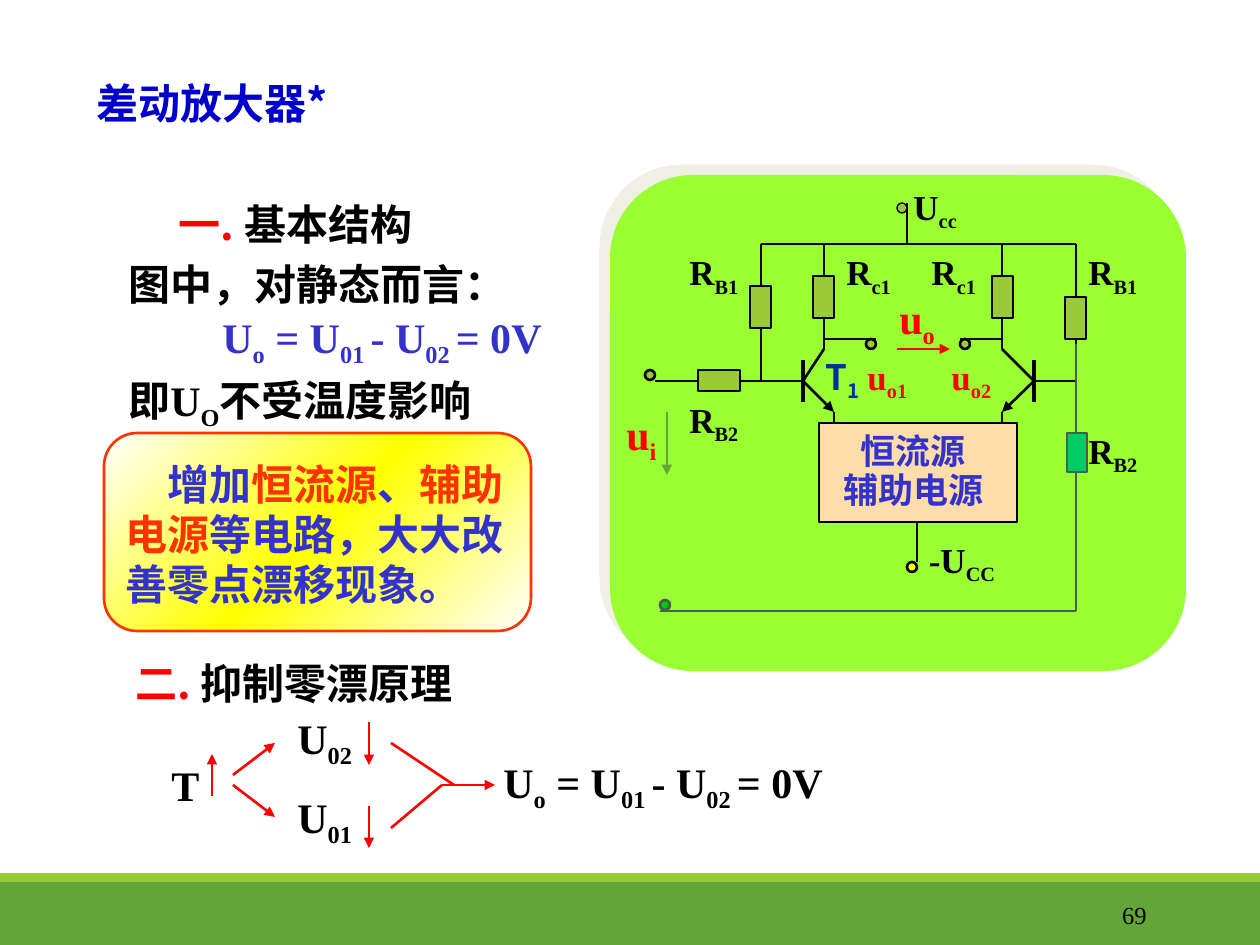
from lxml.etree import SubElement
from pptx import Presentation
from pptx.dml.color import RGBColor
from pptx.enum.shapes import MSO_CONNECTOR, MSO_SHAPE
from pptx.enum.text import MSO_ANCHOR, MSO_AUTO_SIZE, PP_ALIGN
from pptx.oxml import parse_xml
from pptx.oxml.ns import nsdecls, qn
from pptx.util import Pt

SCALE = 914400 / 126
SERIF, SANS = "Times New Roman", "Noto Sans CJK SC"
BLACK, RED, BLUE, ORANGE = "000000", "FF0000", "3333CC", "FF3300"
GREEN, LIME, SLATE = "63A537", "99CB38", "455F51"
RECT, ROUND, OVAL = MSO_SHAPE.RECTANGLE, MSO_SHAPE.ROUNDED_RECTANGLE, MSO_SHAPE.OVAL
LEFT, MID, RIGHT = PP_ALIGN.LEFT, PP_ALIGN.CENTER, PP_ALIGN.RIGHT


def px(n):
    return round(n * SCALE)


def rgb(code):
    return RGBColor.from_string(code)


class Page:
    def __init__(self, deck):
        self.slide = deck.slides.add_slide(deck.slide_layouts[6])
        self.items = self.slide.shapes

    def shape(self, kind, x, y, w, h, fill, line=None, width=1.5):
        item = self.items.add_shape(kind, px(x), px(y), px(w), px(h))
        item.shadow.inherit = False
        item.fill.solid()
        item.fill.fore_color.rgb = rgb(fill)
        if line:
            item.line.color.rgb = rgb(line)
            item.line.width = Pt(width)
        else:
            item.line.fill.background()
        return item

    def line(self, x1, y1, x2, y2, color=BLACK, arrow=False, width=1.5):
        item = self.items.add_connector(
            MSO_CONNECTOR.STRAIGHT, px(x1), px(y1), px(x2), px(y2))
        item.line.color.rgb = rgb(color)
        item.line.width = Pt(width)
        if arrow:
            SubElement(item.line._get_or_add_ln(), qn("a:tailEnd"), type="triangle")
        SubElement(item._element.spPr, qn("a:effectLst"))

    def text(self, x, y, w, h, runs, size=24, font=SERIF, align=LEFT, bold=True,
             wrap=True, middle=False, inset=True, indent=0):
        """Runs are (text, color) pairs; text between bars is subscript."""
        frame = self.items.add_textbox(px(x), px(y), px(w), px(h)).text_frame
        frame.word_wrap = wrap
        if not wrap:
            frame.auto_size = MSO_AUTO_SIZE.SHAPE_TO_FIT_TEXT
        if middle:
            frame.vertical_anchor = MSO_ANCHOR.MIDDLE
        if not inset:
            frame.margin_left = frame.margin_right = 0
            frame.margin_top = frame.margin_bottom = 0
        para = frame.paragraphs[0]
        para.alignment = align
        if indent:
            para._p.get_or_add_pPr().set("indent", str(px(indent)))
        for words, color in runs:
            for n, part in enumerate(words.split("|")):
                if part:
                    self.run(para, part, color, size, font, bold, n % 2)

    def run(self, para, words, color, size, font, bold, sub):
        run = para.add_run()
        run.text = words
        run.font.size = Pt(size)
        run.font.bold = bold
        run.font.name = font
        run.font.color.rgb = rgb(color)
        props = run._r.get_or_add_rPr()
        SubElement(props, qn("a:ea"), typeface=SANS)
        if sub:
            props.set("baseline", "-25000")


def notes(page):
    # Headings and statements
    page.text(84, 66, 819, 73, [("差动放大器*", "0000CC")], font=SANS, middle=True)
    page.text(179, 199, 388, 50, [("一. ", RED), ("基本结构", BLACK)],
              font=SANS, inset=False)
    page.text(116, 252, 473, 63, [("图中，对静态而言：", BLACK)])
    page.text(116, 368, 451, 63, [("即U|O|不受温度影响", BLACK)])
    page.text(123, 651, 462, 63, [("二. ", RED), ("抑制零漂原理", BLACK)], font=SANS)
    # Both equations
    for x, y, w, color in ((210, 305, 388, BLUE), (491, 750, 410, BLACK)):
        page.text(x, y, w, 63, [("U|o| = U|01 |- U|02 |= 0V", color)])
    # Highlighted remark
    card = page.shape(ROUND, 104, 433, 427, 198, "FFFF00", ORANGE)
    card.adjustments[0] = 0.167
    card.fill.gradient()
    card.fill.gradient_angle = 315
    stops = card.fill._fill._gradFill.gsLst
    for stop in list(stops):
        stops.remove(stop)
    for spot, color in ((0, "FFFFFF"), (50, "FFFF00"), (100, "FFFFFF")):
        stop = SubElement(stops, qn("a:gs"), pos=str(spot * 1000))
        SubElement(stop, qn("a:srgbClr"), val=color)
    page.text(113, 452, 437, 164, [
        ("增加", BLUE), ("恒流源", ORANGE), ("、", BLUE), ("辅助电源", ORANGE),
        ("等电路，大大改善零点漂移现象。", BLUE)], indent=42)


def drift(page):
    # Chain from temperature to output
    page.text(159, 753, 42, 63, [("T", BLACK)])
    for y, name in ((706, "U|02|"), (785, "U|01|")):
        page.text(285, y, 83, 63, [(name, BLACK)], wrap=False)
    for ends in ((212, 796, 212, 754), (233, 775, 275, 743), (233, 785, 275, 817),
                 (369, 722, 369, 765), (369, 806, 369, 848), (442, 785, 495, 785)):
        page.line(*ends, RED, True)
    page.line(391, 743, 454, 785, RED)
    page.line(391, 828, 442, 785, RED)


def circuit(page):
    # Panel with its shadow
    panel = page.shape(ROUND, 610, 175, 576, 496, "99FF33")
    panel.adjustments[0] = 0.167
    props = panel._element.spPr
    props.remove(props.find(qn("a:effectLst")))
    props.append(parse_xml(
        f'<a:effectLst {nsdecls("a")}><a:outerShdw dist="{Pt(8.5)}" dir="13500000" '
        'algn="ctr" rotWithShape="0"><a:srgbClr val="E2DFCC"><a:alpha val="50000"/>'
        '</a:srgbClr></a:outerShdw></a:effectLst>'))
    # Wires
    for ends in ((655, 381, 803, 381), (824, 339, 876, 339), (803, 381, 824, 349),
                 (834, 412, 834, 465), (824, 349, 824, 244), (761, 381, 761, 244),
                 (761, 244, 907, 244), (907, 203, 907, 244), (1002, 412, 1002, 465),
                 (1034, 381, 1002, 349), (1002, 244, 1002, 349),
                 (1034, 381, 1076, 381), (1076, 244, 1076, 381),
                 (1002, 339, 960, 339), (907, 244, 1076, 244), (917, 522, 917, 562)):
        page.line(*ends)
    page.line(1076, 344, 1076, 611, SLATE)
    page.line(1076, 611, 660, 611, SLATE)
    # Transistor bases and emitters
    for x, tip in ((803, 834), (1034, 1002)):
        page.line(x, 360, x, 402, width=2.25)
        page.line(x, 381, tip, 412, arrow=True)
    # Resistors
    for x, y in ((750, 286), (813, 276), (992, 276), (1065, 297)):
        page.shape(RECT, x, y, 21, 42, LIME, BLACK)
    page.shape(RECT, 698, 370, 42, 21, LIME, BLACK)
    page.shape(RECT, 1067, 433, 20, 39, "00CC66", SLATE)
    # Terminals
    for x, y, fill, line, width in (
            (645, 370, LIME, BLACK, 1.5), (866, 339, LIME, BLACK, 1.5),
            (960, 339, LIME, BLACK, 1.5), (897, 203, LIME, BLACK, 0.75),
            (907, 562, "FFFF00", BLACK, 1.5), (660, 600, "00CC00", SLATE, 1.5)):
        page.shape(OVAL, x, y, 10, 10, fill, line, width)
    # Supply box
    page.shape(RECT, 819, 423, 198, 99, "FFDDAB", BLACK)
    for y, name in ((423, "恒流源"), (462, "辅助电源")):
        page.text(819, y, 189, 54, [(name, BLUE)], 20, align=MID)
    # Labels
    for x, y, w, name, color in (
            (901, 179, 84, "U|cc|", BLACK), (677, 244, 94, "R|B1|", BLACK),
            (834, 244, 84, "R|c1|", BLACK), (919, 244, 72, "R|c1|", BLACK),
            (1076, 244, 77, "R|B1|", BLACK), (677, 392, 77, "R|B2|", BLACK),
            (1076, 423, 77, "R|B2|", BLACK), (855, 349, 68, "u|o1|", RED),
            (939, 349, 68, "u|o2|", RED)):
        page.text(x, y, w, 54, [(name, color)], 20, wrap=w > 80)
    page.text(813, 349, 73, 54, [("T|1|", "003399")], 20, SANS)
    page.text(907, 532, 110, 54, [("-U|CC|", BLACK)], 20, align=MID)
    # Input and output voltages
    page.text(614, 402, 63, 63, [("u|i|", RED)])
    page.line(667, 412, 667, 475, GREEN, True)
    page.text(887, 286, 63, 63, [("u|o|", RED)])
    page.line(897, 349, 950, 349, RED, True)


def main():
    deck = Presentation()
    deck.slide_width, deck.slide_height = px(1260), px(945)
    page = Page(deck)
    # Footer
    page.shape(RECT, 0, 882, 1260, 63, GREEN)
    page.shape(RECT, 0, 873, 1260, 9, LIME)
    page.text(1023, 890, 136, 50, [("69", BLACK)], 14, align=RIGHT,
              bold=False, middle=True)
    notes(page)
    drift(page)
    circuit(page)
    deck.save("out.pptx")


if __name__ == "__main__":
    main()
